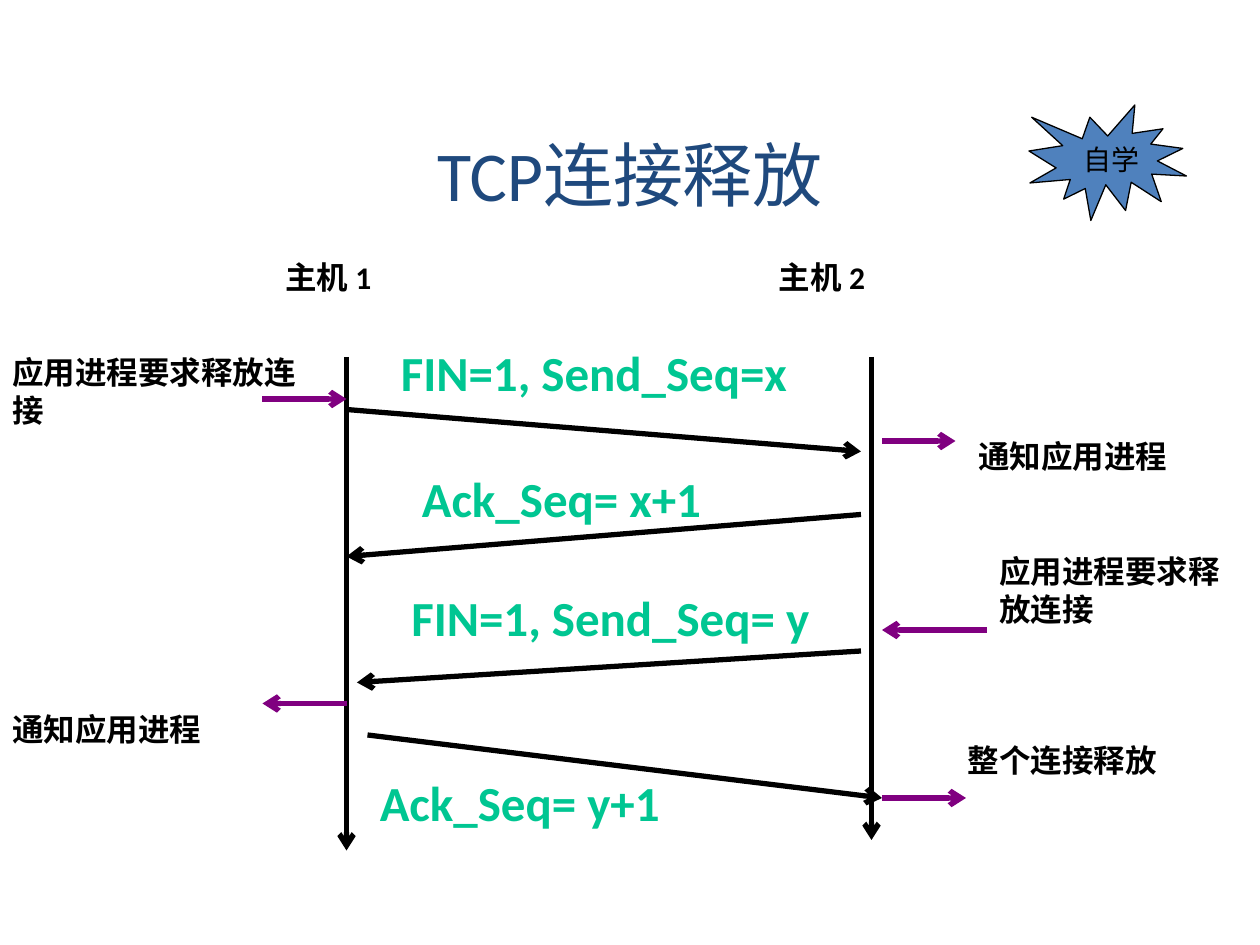
from pptx import Presentation
from pptx.dml.color import RGBColor
from pptx.enum.shapes import MSO_CONNECTOR, MSO_SHAPE
from pptx.enum.text import MSO_ANCHOR, PP_ALIGN
from pptx.oxml.ns import qn
from pptx.util import Pt
from lxml import etree

LINE = MSO_CONNECTOR.STRAIGHT
BURST = MSO_SHAPE.EXPLOSION1
MIDDLE = MSO_ANCHOR.MIDDLE
CENTER = PP_ALIGN.CENTER

BLACK = RGBColor(0, 0, 0)
GREEN = RGBColor(0, 0xC6, 0x92)
PURPLE = RGBColor(0x80, 0, 0x80)
NAVY = RGBColor(0x1F, 0x49, 0x7D)
BLUE = RGBColor(0x4F, 0x81, 0xBD)
FACE = "Calibri"

HOST_1, HOST_2 = 198, 498

MOVES = [
    (HOST_1, 60, HOST_1, 342, BLACK),
    (HOST_2, 60, HOST_2, 336, BLACK),
    (198, 90, 492, 114, BLACK),
    (492, 150, 198, 174, BLACK),
    (492, 228, 204, 246, BLACK),
    (210, 276, 504, 312, BLACK),
    (150, 84, 198, 84, PURPLE),
    (504, 108, 546, 108, PURPLE),
    (564, 216, 504, 216, PURPLE),
    (198, 258, 150, 258, PURPLE),
    (504, 312, 552, 312, PURPLE),
]

NOTES = [
    ("主机 1", 156, 0, 108, 36),
    ("主机 2", 438, 0, 81, 36),
    ("应用进程要求释放连接", 0, 54, 180, 65),
    ("通知应用进程", 552, 102, 168, 36),
    ("应用进程要求释放连接", 564, 168, 156, 65),
    ("通知应用进程", 0, 258, 180, 36),
    ("整个连接释放", 546, 276, 174, 36),
]

PACKETS = [
    ("FIN=1, Send_Seq=x", 222, 48, 260),
    ("Ack_Seq= x+1", 234, 120, 228),
    ("FIN=1, Send_Seq= y", 228, 188, 265),
    ("Ack_Seq= y+1", 210, 294, 190),
]


def style(par, size, color, bold=False):
    font = par.font
    font.name = FACE
    font.size = Pt(size)
    font.bold = bold
    font.color.rgb = color


def label(shapes, text, box, size, color, bold=True):
    frame = shapes.add_textbox(*map(Pt, box)).text_frame
    frame.word_wrap = True
    frame.text = text
    style(frame.paragraphs[0], size, color, bold)


def arrow(shapes, ends, color):
    link = shapes.add_connector(LINE, *map(Pt, ends))
    link.line.width = Pt(3)
    link.line.color.rgb = color
    etree.SubElement(link.line._get_or_add_ln(), qn("a:tailEnd"), type="arrow")
    etree.SubElement(link._element.spPr, qn("a:effectLst"))


def heading(slide, box):
    title = slide.shapes.title
    title.left, title.top, title.width, title.height = map(Pt, box)
    frame = title.text_frame
    frame.text = "TCP连接释放"
    frame.vertical_anchor = MIDDLE
    par = frame.paragraphs[0]
    par.alignment = CENTER
    style(par, 40, NAVY)


def badge(slide, box):
    left, top, width, height = box
    group = slide.shapes.add_group_shape()
    star = group.shapes.add_shape(BURST, *map(Pt, box))
    star.shadow.inherit = False
    star.fill.solid()
    star.fill.fore_color.rgb = BLUE
    star.line.color.rgb = BLACK
    star.line.width = Pt(0.75)
    inner = left + 24, top + 18, width - 42, height - 39
    label(group.shapes, "自学", inner, 16, BLACK, False)


def ladder(slide, box):
    left, top = box[:2]
    shapes = slide.shapes
    for x1, y1, x2, y2, color in MOVES:
        ends = left + x1, top + y1, left + x2, top + y2
        arrow(shapes, ends, color)
    for text, x, y, width, height in NOTES:
        label(shapes, text, (left + x, top + y, width, height), 18, BLACK)
    for text, x, y, width in PACKETS:
        label(shapes, text, (left + x, top + y, width, 41), 28, GREEN)


def main():
    deck = Presentation()
    deck.slide_width, deck.slide_height = Pt(720), Pt(540)
    slide = deck.slides.add_slide(deck.slide_layouts[5])
    heading(slide, (108, 78, 504, 42))
    ladder(slide, (0, 144, 720, 342))
    badge(slide, (588, 60, 90, 66))
    deck.save("out.pptx")


if __name__ == "__main__":
    main()
